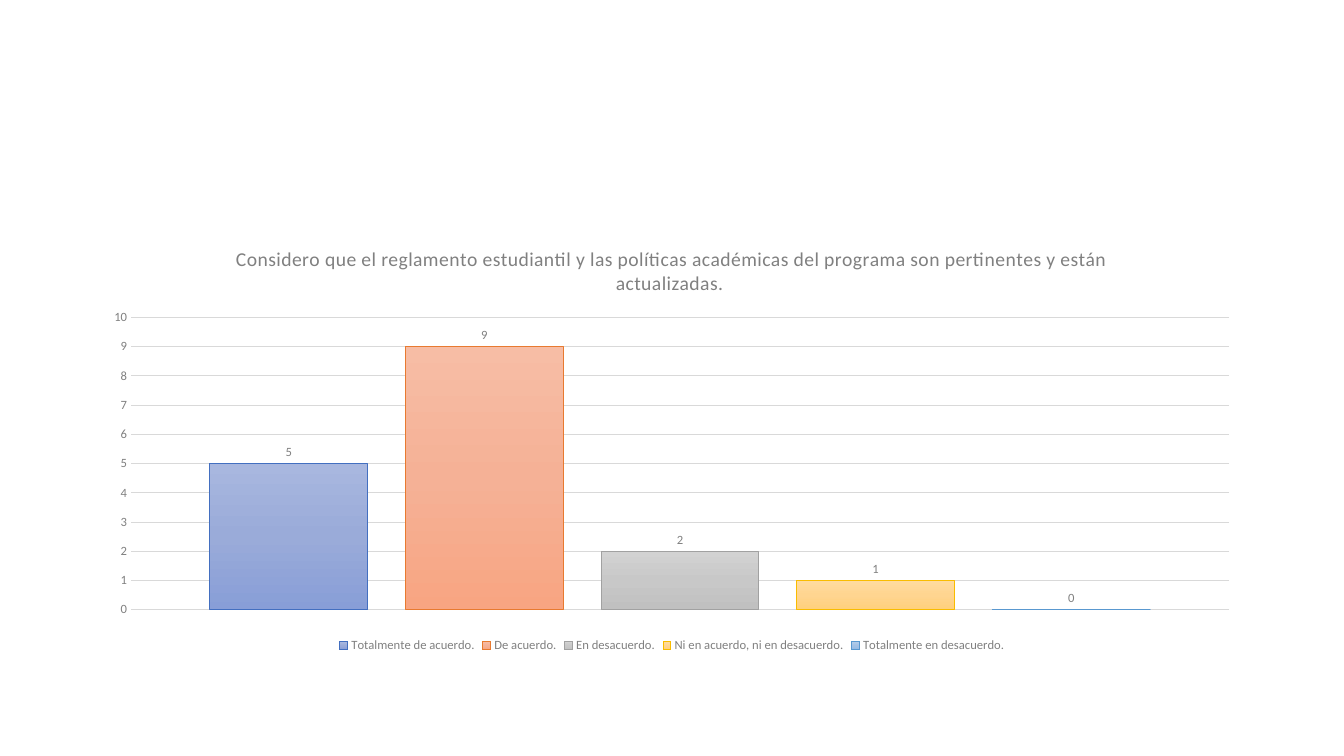
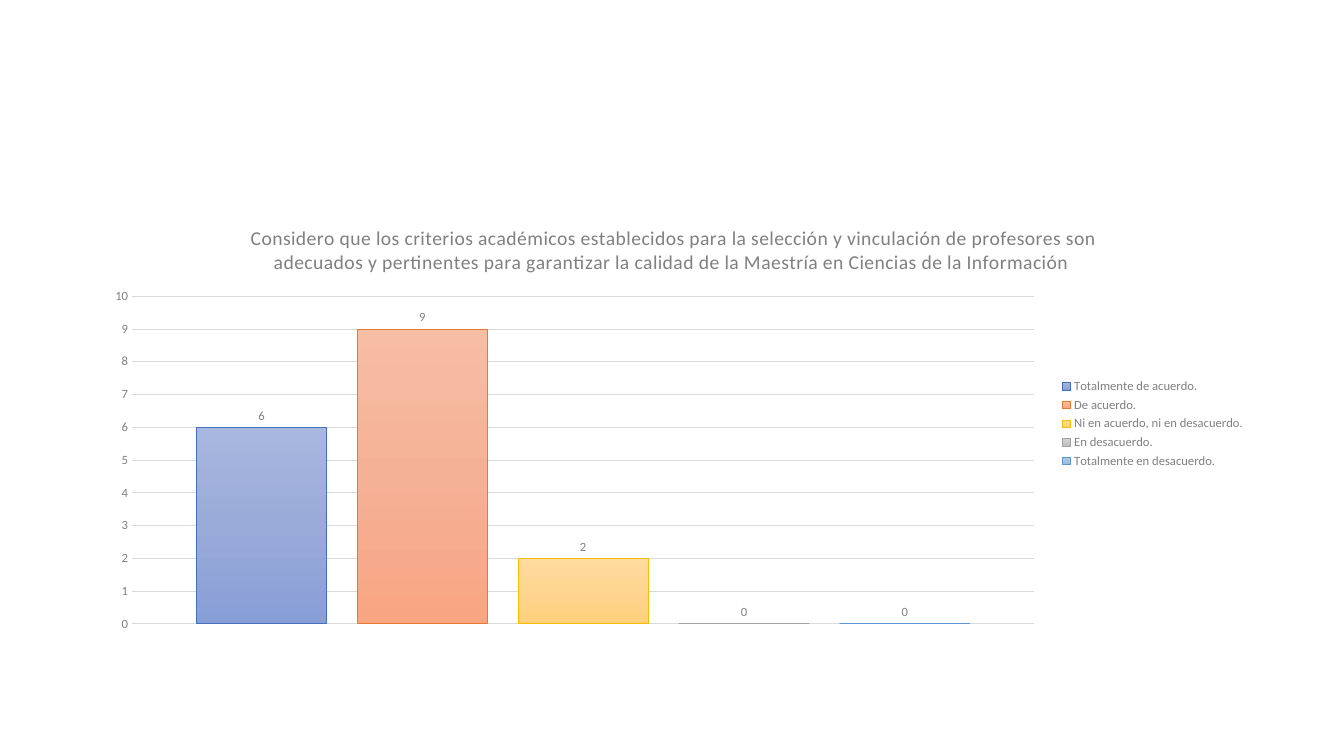
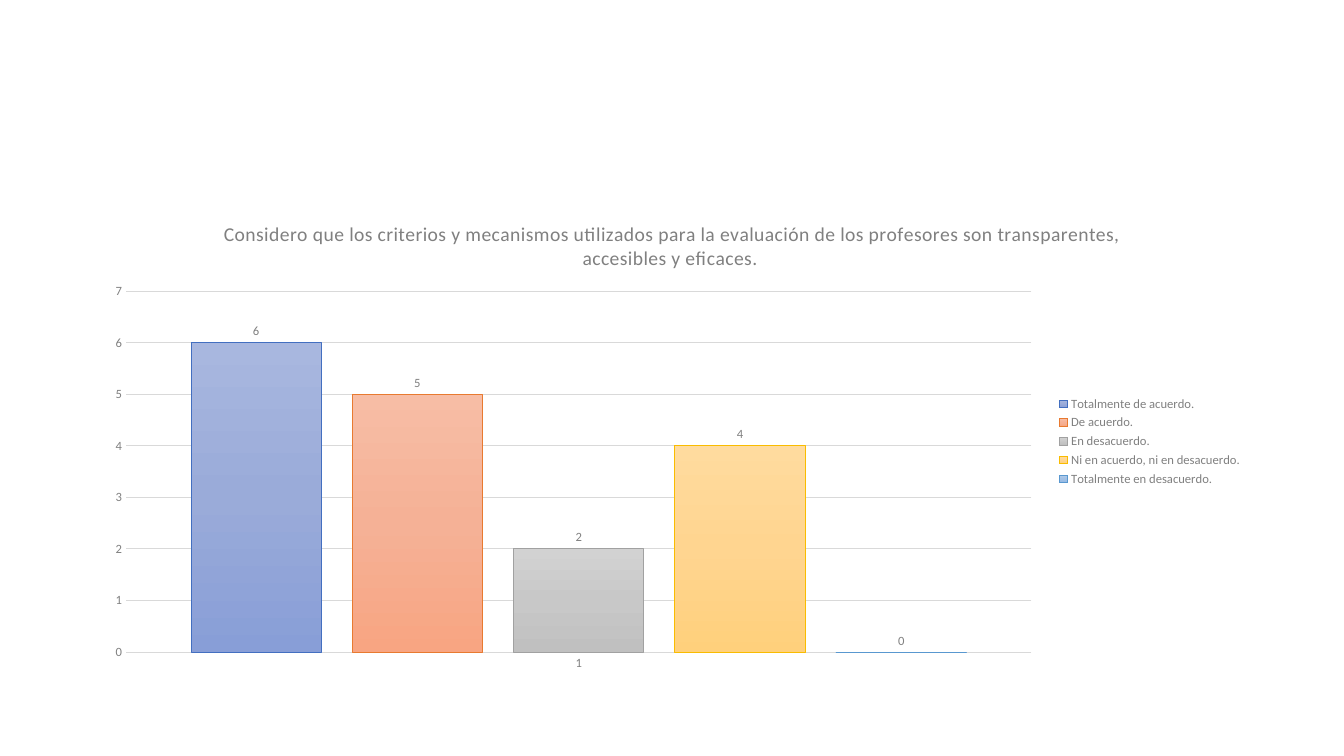
from copy import deepcopy
from dataclasses import dataclass
from typing import Any

from pptx import Presentation
from pptx.chart.chart import Chart
from pptx.chart.data import CategoryChartData
from pptx.chart.series import BarSeries
from pptx.dml.color import RGBColor
from pptx.enum.chart import XL_CHART_TYPE, XL_LABEL_POSITION, XL_LEGEND_POSITION, XL_TICK_MARK
from pptx.oxml import parse_xml
from pptx.oxml.ns import nsdecls, qn
from pptx.util import Inches, Pt

COLUMN = XL_CHART_TYPE.COLUMN_CLUSTERED
BOTTOM, RIGHT = XL_LEGEND_POSITION.BOTTOM, XL_LEGEND_POSITION.RIGHT
OUTSIDE = XL_LABEL_POSITION.OUTSIDE_END
NO_TICK = XL_TICK_MARK.NONE
BLANK = 6


@dataclass(frozen=True)
class Theme:
    font: str = "Calibri"
    text: str = "808080"
    grid: str = "D9D9D9"
    title: float = 14
    small: float = 9
    line: float = 0.75
    spacing: str = "20"


@dataclass(frozen=True)
class Answer:
    name: str
    stops: tuple[str, str, str]
    edge: str


@dataclass(frozen=True)
class Box:
    left: float
    top: float
    width: float
    height: float


@dataclass(frozen=True)
class Survey:
    title: str
    votes: dict[Answer, int]
    area: Box
    plot: Box
    legend: Any
    top: int
    axis: bool = False


THEME = Theme()

# Answers, each with its gradient and outline
FULL = Answer("Totalmente de acuerdo.", ("A8B7DF", "9AABD9", "889ED7"), "436FC0")
AGREE = Answer("De acuerdo.", ("F7BDA5", "F5B196", "F8A582"), "E87A30")
AGAINST = Answer("En desacuerdo.", ("D2D2D2", "C8C8C8", "C0C0C0"), "A1A1A1")
NEUTRAL = Answer("Ni en acuerdo, ni en desacuerdo.", ("FFDB9E", "FFD590", "FFD07C"), "F9BC00")
NEVER = Answer("Totalmente en desacuerdo.", ("B1CBE9", "A3C1E5", "93B9E4"), "5998D0")

SURVEYS = (
    Survey(
        "Considero que el reglamento estudiantil y las políticas académicas del programa "
        "son pertinentes y están actualizadas. ",
        {FULL: 5, AGREE: 9, AGAINST: 2, NEUTRAL: 1, NEVER: 0},
        Box(0.9, 2.26, 11.53, 4.26), Box(1.3, 3.15, 10.89, 2.9), BOTTOM, 10,
    ),
    Survey(
        "Considero que los criterios académicos establecidos para la selección y vinculación "
        "de profesores son adecuados y pertinentes para garantizar la calidad de la Maestría "
        "en Ciencias de la Información ",
        {FULL: 6, AGREE: 9, NEUTRAL: 2, AGAINST: 0, NEVER: 0},
        Box(0.92, 2.05, 11.53, 4.31), Box(1.31, 2.94, 8.95, 3.25), RIGHT, 10,
    ),
    Survey(
        "Considero que los criterios y mecanismos utilizados para la evaluación de los "
        "profesores son transparentes, accesibles y eficaces. ",
        {FULL: 6, AGREE: 5, AGAINST: 2, NEUTRAL: 4, NEVER: 0},
        Box(0.92, 2, 11.5, 4.76), Box(1.25, 2.89, 8.98, 3.58), RIGHT, 7, axis=True,
    ),
)


def put(item: Any, **values: Any) -> None:
    for key, value in values.items():
        setattr(item, key, value)


def style(font: Any, size: float = THEME.small) -> None:
    put(font, name=THEME.font, size=Pt(size), bold=False)
    font.color.rgb = RGBColor.from_string(THEME.text)


def stroke(line: Any, color: str) -> None:
    line.color.rgb = RGBColor.from_string(color)
    line.width = Pt(THEME.line)


def add_title(chart: Chart, text: str) -> None:
    chart.has_title = True
    run = chart.chart_title.text_frame.paragraphs[0].add_run()
    run.text = text
    style(run.font, THEME.title)
    run._r.get_or_add_rPr().set("spc", THEME.spacing)
    chart.chart_title.include_in_layout = False


def place_plot(chart: Chart, area: Box, plot: Box) -> None:
    """Fix the inner plot area as fractions of the chart."""
    parts = {
        "x": (plot.left - area.left) / area.width,
        "y": (plot.top - area.top) / area.height,
        "w": plot.width / area.width,
        "h": plot.height / area.height,
    }
    modes = "".join(f'<c:{key}Mode val="edge"/>' for key in "xy")
    sizes = "".join(f'<c:{key} val="{value:.4f}"/>' for key, value in parts.items())
    node = chart._chartSpace.chart.plotArea
    for old in node.findall(qn("c:layout")):
        node.remove(old)
    node.insert(0, parse_xml(
        f'<c:layout {nsdecls("c")}><c:manualLayout><c:layoutTarget val="inner"/>'
        f"{modes}{sizes}</c:manualLayout></c:layout>"
    ))


def paint(bar: BarSeries, answer: Answer) -> None:
    fill = bar.format.fill
    fill.gradient()
    fill.gradient_angle = 270
    # The default gradient has two stops; a third goes in the middle
    stops = bar._element.find(".//" + qn("a:gsLst"))
    stops.insert(1, deepcopy(stops[0]))
    for i, (stop, color) in enumerate(zip(fill.gradient_stops, answer.stops)):
        stop.position = i / 2
        stop.color.rgb = RGBColor.from_string(color)
    stroke(bar.format.line, answer.edge)
    bar.invert_if_negative = False
    put(bar.data_labels, show_value=True, position=OUTSIDE)
    style(bar.data_labels.font)


def add_axes(chart: Chart, survey: Survey) -> None:
    ticks = {"major_tick_mark": NO_TICK, "minor_tick_mark": NO_TICK}
    cat, val = chart.category_axis, chart.value_axis
    put(cat, visible=survey.axis, has_major_gridlines=False, **ticks)
    put(val, minimum_scale=0, maximum_scale=survey.top, major_unit=1,
        has_major_gridlines=True, **ticks)
    for axis in (cat, val):
        style(axis.tick_labels.font)
    stroke(cat.format.line, THEME.grid)
    stroke(val.major_gridlines.format.line, THEME.grid)
    val.format.line.fill.background()


def add_survey(deck: Any, survey: Survey) -> None:
    slide = deck.slides.add_slide(deck.slide_layouts[BLANK])
    data = CategoryChartData()
    data.categories = ["1"]
    for answer, count in survey.votes.items():
        data.add_series(answer.name, [count])
    area = survey.area
    spot = map(Inches, (area.left, area.top, area.width, area.height))
    chart = slide.shapes.add_chart(COLUMN, *spot, data).chart
    put(chart.font, name=THEME.font, size=Pt(10))

    add_title(chart, survey.title)
    add_axes(chart, survey)
    place_plot(chart, area, survey.plot)

    # Bars
    plot = chart.plots[0]
    put(plot, gap_width=100, overlap=-24, vary_by_categories=False)
    for bar, answer in zip(plot.series, survey.votes):
        paint(bar, answer)

    # Legend
    chart.has_legend = True
    put(chart.legend, position=survey.legend, include_in_layout=False)
    style(chart.legend.font)


def main() -> None:
    deck = Presentation()
    put(deck, slide_width=Inches(13.33), slide_height=Inches(7.5))
    for survey in SURVEYS:
        add_survey(deck, survey)
    deck.save("out.pptx")


if __name__ == "__main__":
    main()
